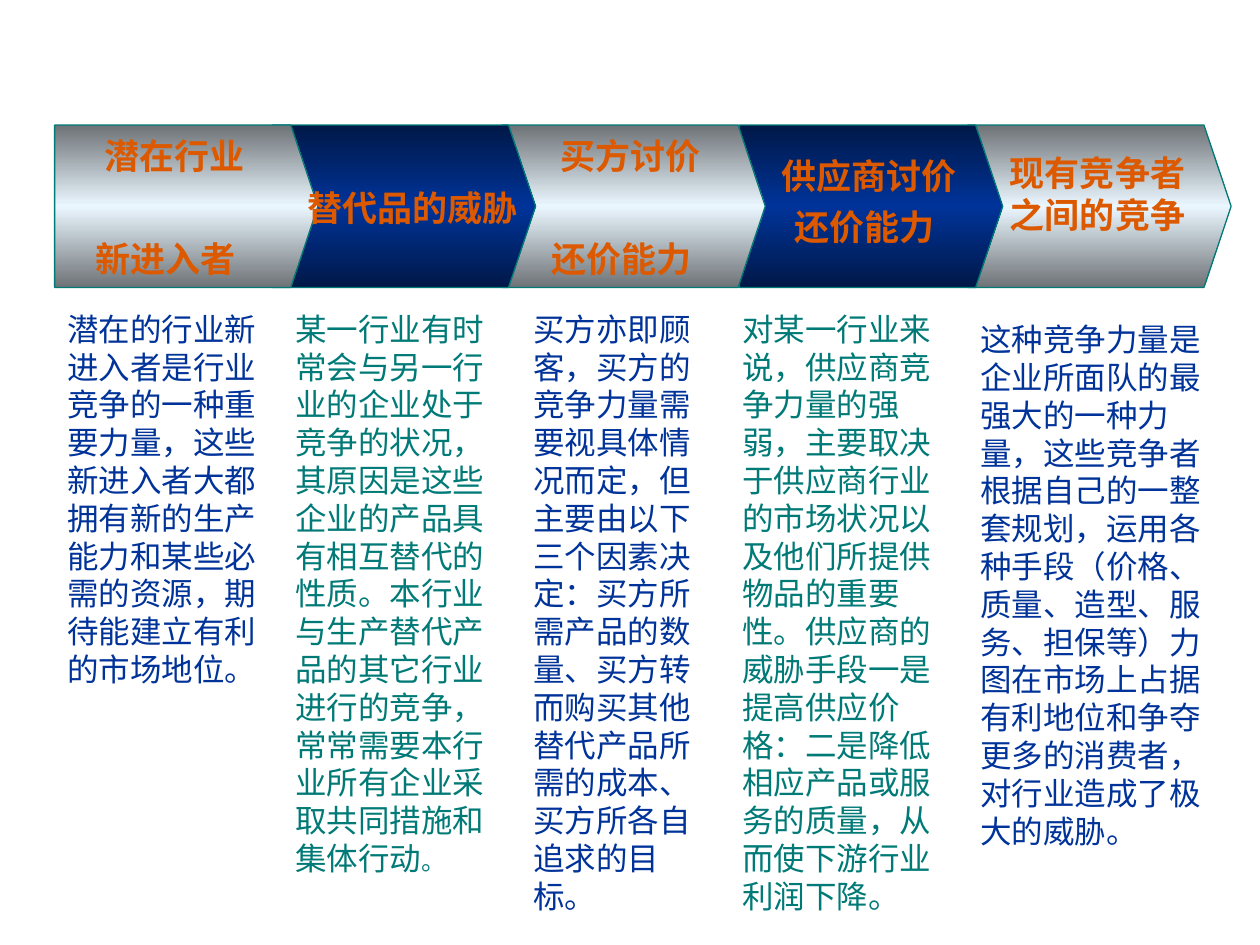
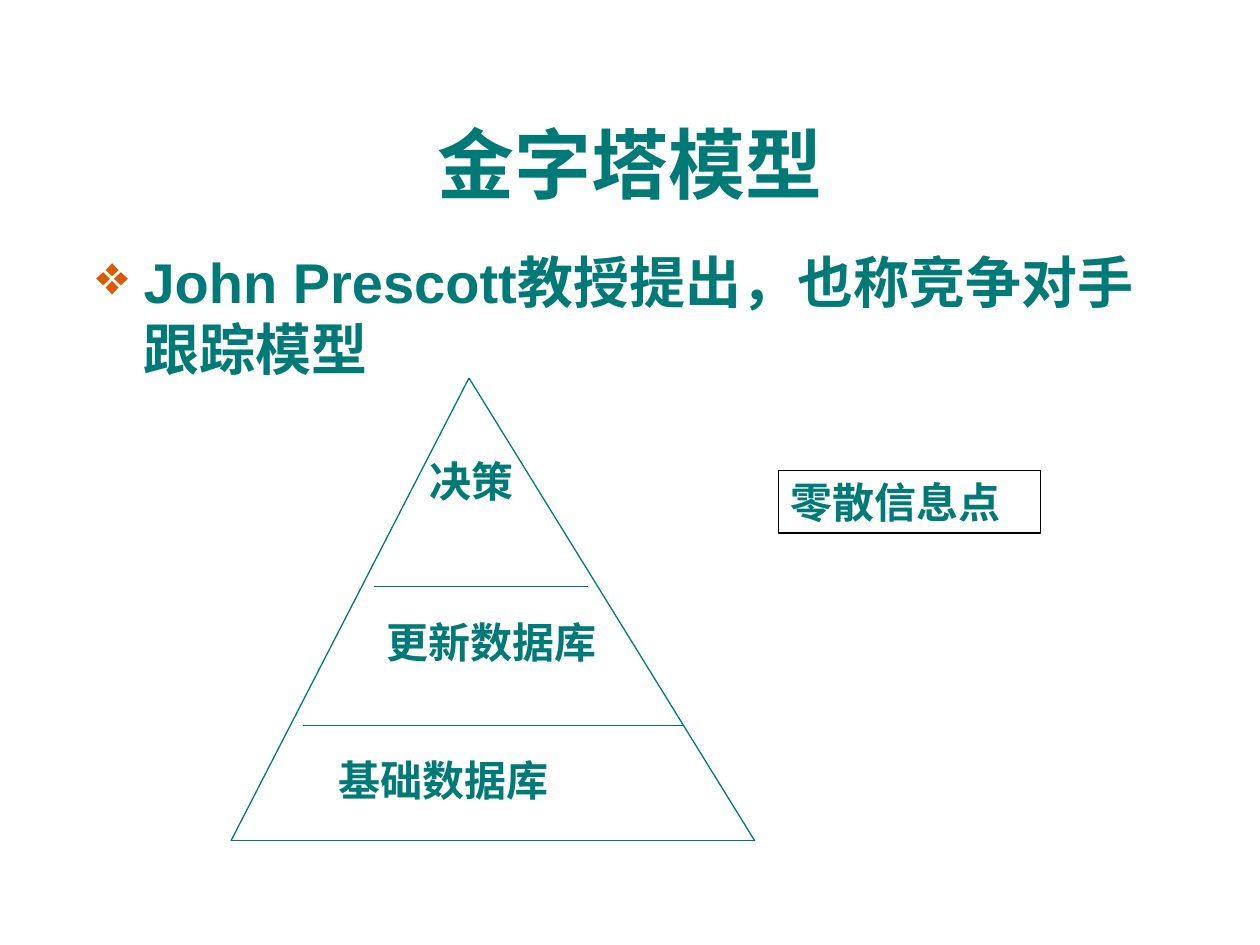
from copy import deepcopy

from pptx import Presentation
from pptx.dml.color import RGBColor
from pptx.enum.shapes import MSO_CONNECTOR, MSO_SHAPE
from pptx.enum.text import MSO_ANCHOR, PP_ALIGN
from pptx.oxml.ns import qn
from pptx.oxml.xmlchemy import OxmlElement
from pptx.util import Pt

LEFT, CENTER = PP_ALIGN.LEFT, PP_ALIGN.CENTER
TOP, MIDDLE = MSO_ANCHOR.TOP, MSO_ANCHOR.MIDDLE
STRAIGHT, RECTANGLE = MSO_CONNECTOR.STRAIGHT, MSO_SHAPE.RECTANGLE

COLORS = {
    "teal": "007A77", "blue": "003399", "navy": "001847",
    "orange": "DC5900", "gray": "6D7276", "ice": "EBF7FF", "black": "000000",
}
SANS, SERIF, CHINESE = "Arial", "Times New Roman", "Noto Sans CJK SC"
TITLE_LAYOUT, BLANK_LAYOUT = 5, 6
LINE_WIDTH = 0.75
LINE_PITCH = 1.2

# Force arrows: left edges, and the band they share
ARROW_LEFTS = (31.2, 155.6, 286.8, 422.5, 553)
ARROW_TOP, ARROW_WIDTH, ARROW_HEIGHT, ARROW_TIP = 71.5, 150.5, 92.8, 15.5
ARROW_GRADIENTS = (("gray", "ice"), ("navy", "blue"))

# Force labels: lines, box, space between lines, right indent of last line
FORCE_LABELS = [
    (["潜在行业", "新进入者"], (31, 75, 137.5, 86.5), 34.7, 10, CENTER),
    (["替代品的威胁"], (167, 75.5, 137.5, 86.5), 0, 0, CENTER),
    (["买方讨价", "还价能力"], (291.5, 75, 137.5, 86.5), 34.7, 10, CENTER),
    (["供应商讨价", "还价能力"], (428, 71.5, 137.5, 86.5), 5, 5, CENTER),
    (["现有竞争者之间的竞争"], (573.5, 67.3, 119.5, 86.5), 0, 0, LEFT),
]

# Force descriptions: box, then runs of text and size
FORCE_NOTES = [
    ((31.3, 173.5, 132, 223), [
        ("潜在的行业新进入者是行业竞争的一种重要力量，这些新进入者大都拥有新的"
         "生产能力和某些必需的资源，期待能建立有利的市场地位。", 18)]),
    ((161.5, 173.5, 137, 331), [
        ("某一行业有时常会与另一行业的企业处于竞争的状况，其原因是这些企业的产品"
         "具有相互替代的性质。本行业与生产替代产品的其它行业进行的竞争，常常需要"
         "本行业所有企业采取共同措施和集体行动", 18), ("。", 14)]),
    ((297.5, 173.5, 118, 353), [
        ("买方亦即顾客，买方的竞争力量需要视具体情况而定，但主要由以下三个因素"
         "决定：买方所需产品的数量、买方转而购买其他替代产品所需的成本、买方所各自"
         "追求的目标。", 18)]),
    ((417, 173.5, 133, 331), [
        ("对某一行业来说，供应商竞争力量的强弱，主要取决于供应商行业的市场状况以及"
         "他们所提供物品的重要性。供应商的威胁手段一是提高供应价格：二是降低相应"
         "产品或服务的质量，从而使下游行业利润下降。", 18)]),
    ((553, 179.5, 142, 310), [
        ("这种竞争力量是企业所面队的最强大的一种力量，这些竞争者根据自己的一整套"
         "规划，运用各种手段（价格、质量、造型、服务、担保等）力图在市场上占据有利"
         "地位和争夺更多的消费者，对行业造成了极大的威胁。", 18)]),
]


def rgb(name):
    return RGBColor.from_string(COLORS[name])


def points(values):
    return [Pt(value) for value in values]


def add_run(paragraph, text, size, color, bold=False, font=SANS):
    run = paragraph.add_run()
    run.text = text
    run.font.size = Pt(size)
    run.font.bold = bold
    run.font.color.rgb = rgb(color)
    run.font.name = font
    east_asian = OxmlElement("a:ea")
    east_asian.set("typeface", CHINESE)
    run._r.get_or_add_rPr().append(east_asian)


def set_frame(frame, side_inset, top_inset, anchor=TOP, wrap=True):
    frame.word_wrap = wrap
    frame.vertical_anchor = anchor
    frame.margin_left = frame.margin_right = Pt(side_inset)
    frame.margin_top = frame.margin_bottom = Pt(top_inset)


def set_paragraph(paragraph, size, align=LEFT):
    """Fix the line pitch and keep punctuation inside the box."""
    paragraph.alignment = align
    paragraph.line_spacing = Pt(size * LINE_PITCH)
    paragraph._p.get_or_add_pPr().set("hangingPunct", "0")


def fill_text(shape, runs, color, bold=False, font=SANS, wrap=True):
    """Write one left-aligned paragraph into a shape or text box."""
    set_frame(shape.text_frame, 7.2, 3.6, wrap=wrap)
    paragraph = shape.text_frame.paragraphs[0]
    set_paragraph(paragraph, runs[0][1])
    for text, size in runs:
        add_run(paragraph, text, size, color, bold, font)
    return paragraph


def add_line(slide, start, end):
    line = slide.shapes.add_connector(STRAIGHT, *points(start + end))
    line.line.color.rgb = rgb("teal")
    line.line.width = Pt(LINE_WIDTH)
    line._element.spPr.append(OxmlElement("a:effectLst"))


def add_force_arrow(slide, left, edge, middle):
    """Draw a five-sided arrow shaded from edge to middle and back."""
    shoulder = left + ARROW_WIDTH - ARROW_TIP
    bottom = ARROW_TOP + ARROW_HEIGHT
    outline = slide.shapes.build_freeform(Pt(left), Pt(ARROW_TOP))
    outline.add_line_segments([
        points(corner) for corner in (
            (shoulder, ARROW_TOP),
            (left + ARROW_WIDTH, ARROW_TOP + ARROW_HEIGHT / 2),
            (shoulder, bottom),
            (left, bottom),
        )
    ])
    arrow = outline.convert_to_shape()
    arrow.shadow.inherit = False
    arrow.line.color.rgb = rgb("teal")
    arrow.line.width = Pt(LINE_WIDTH)
    arrow.fill.gradient()
    arrow.fill.gradient_angle = 90
    stop_list = arrow._element.spPr.find(qn("a:gradFill")).find(qn("a:gsLst"))
    stop_list.append(deepcopy(stop_list[0]))
    shades = ((0, edge), (0.5, middle), (1, edge))
    for stop, (position, color) in zip(arrow.fill.gradient_stops, shades):
        stop.position = position
        stop.color.rgb = rgb(color)


def add_force_label(slide, lines, box, gap, indent, align):
    frame = slide.shapes.add_textbox(*points(box)).text_frame
    set_frame(frame, 3.6, 0, MIDDLE)
    for index, text in enumerate(lines):
        paragraph = frame.add_paragraph() if index else frame.paragraphs[0]
        set_paragraph(paragraph, 20, align)
        if index:
            paragraph.space_before = Pt(gap)
            paragraph._p.get_or_add_pPr().set("marR", str(Pt(indent)))
        add_run(paragraph, text, 20, "orange", bold=True)


def build_forces_slide(prs):
    slide = prs.slides.add_slide(prs.slide_layouts[BLANK_LAYOUT])
    # Arrows, the rightmost at the back
    for index in reversed(range(len(ARROW_LEFTS))):
        add_force_arrow(slide, ARROW_LEFTS[index], *ARROW_GRADIENTS[index % 2])
    for label in FORCE_LABELS:
        add_force_label(slide, *label)
    # Descriptions in alternating colours
    for index, (box, runs) in enumerate(FORCE_NOTES):
        note = slide.shapes.add_textbox(*points(box))
        fill_text(note, runs, ("blue", "teal")[index % 2])


def set_title(slide, text, box):
    title = slide.shapes.title
    title.left, title.top, title.width, title.height = points(box)
    title.text_frame.vertical_anchor = MIDDLE
    paragraph = title.text_frame.paragraphs[0]
    paragraph.alignment = CENTER
    add_run(paragraph, text, 44, "teal", bold=True)


def add_bullet(slide, text, box):
    bullet_box = slide.shapes.add_textbox(*points(box))
    paragraph = fill_text(bullet_box, [(text, 32)], "teal", bold=True)
    properties = paragraph._p.get_or_add_pPr()
    properties.set("marL", str(Pt(27)))
    properties.set("indent", str(-Pt(27)))
    color = OxmlElement("a:buClr")
    color_value = OxmlElement("a:srgbClr")
    color_value.set("val", COLORS["orange"])
    color.append(color_value)
    size = OxmlElement("a:buSzPct")
    size.set("val", "100000")
    mark = OxmlElement("a:buChar")
    mark.set("char", "❖")
    for part in (color, size, mark):
        properties.append(part)


def add_pyramid(slide, left, top, width, height):
    """Draw the triangle, its two dividers and the three level names."""
    apex = (left + 136, top)
    base_left, base_right = (left, top + height), (left + width, top + height)
    for start, end in ((apex, base_left), (apex, base_right),
                       (base_left, base_right)):
        add_line(slide, start, end)
    for x, y, length in ((82, 119, 122), (41, 198.5, 217.5)):
        add_line(slide, (left + x, top + y), (left + x + length, top + y))
    levels = (("决策", 106.5, 41, 68, False),
              ("更新数据库", 82, 132.5, 136, True),
              ("基础数据库", 54.5, 211.5, 150, True))
    for name, x, y, box_width, wrap in levels:
        level = slide.shapes.add_textbox(
            *points((left + x, top + y, box_width, 36)))
        fill_text(level, [(name, 24)], "teal", True, SERIF, wrap)


def add_information_box(slide, text, box):
    information = slide.shapes.add_shape(RECTANGLE, *points(box))
    information.shadow.inherit = False
    information.fill.background()
    information.line.color.rgb = rgb("black")
    information.line.width = Pt(LINE_WIDTH)
    fill_text(information, [(text, 24)], "teal", True, SERIF)


def build_pyramid_slide(prs):
    slide = prs.slides.add_slide(prs.slide_layouts[TITLE_LAYOUT])
    set_title(slide, "金字塔模型", (24, 48, 672, 90))
    add_bullet(slide, "John Prescott教授提出，也称竞争对手跟踪模型",
               (48, 138, 612, 90))
    add_pyramid(slide, 132, 216, 299.3, 264.5)
    add_information_box(slide, "零散信息点", (444.7, 268.7, 149.8, 36))


def main():
    prs = Presentation()
    prs.slide_width, prs.slide_height = Pt(720), Pt(540)
    build_forces_slide(prs)
    build_pyramid_slide(prs)
    prs.save("out.pptx")


if __name__ == "__main__":
    main()
